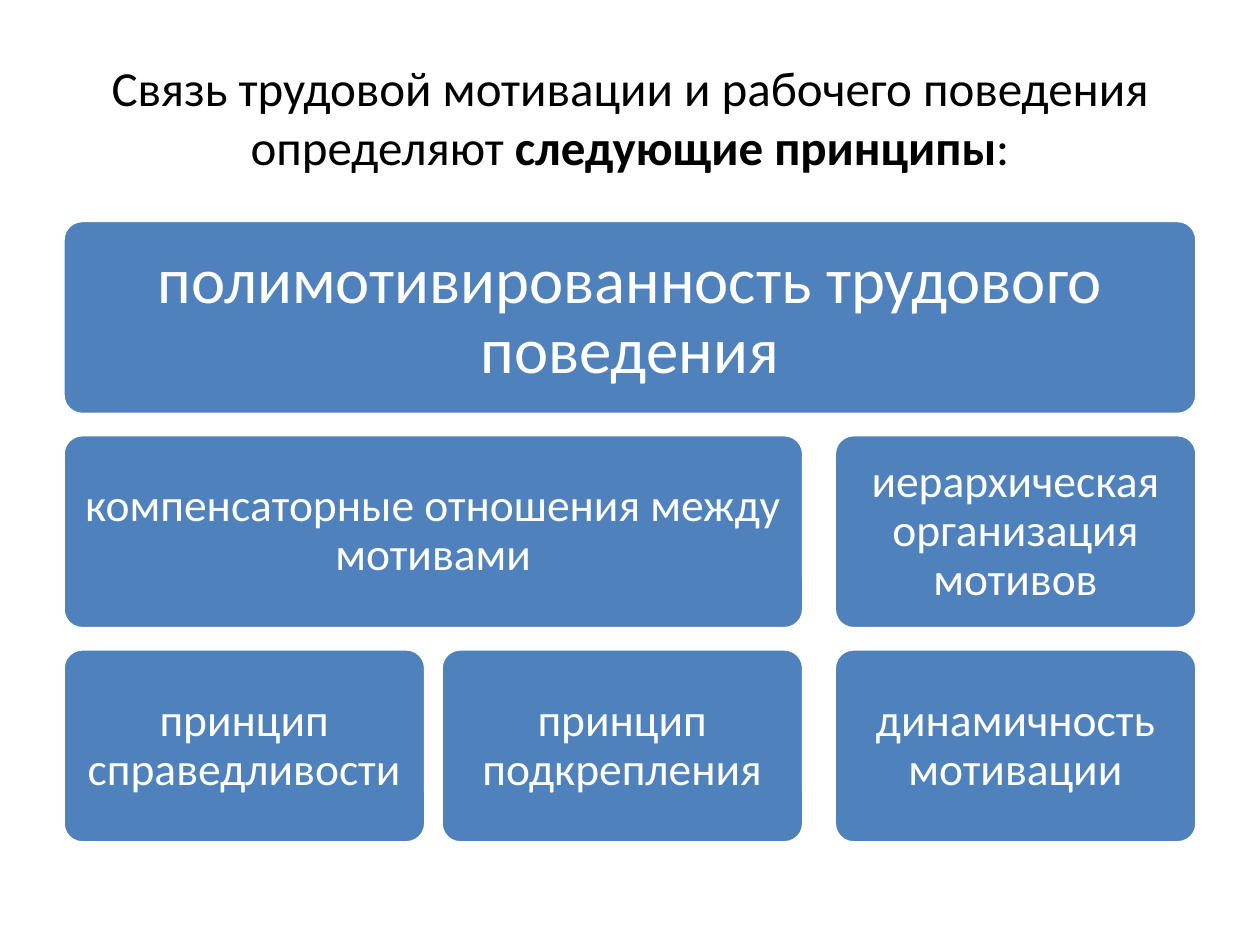
"""Build a slide showing the principles that link work motivation and behaviour."""
import pptx
import pptx.dml.color
import pptx.enum.shapes
import pptx.enum.text
import pptx.util

Pt = pptx.util.Pt
RGB = pptx.dml.color.RGBColor.from_string

TITLE = [
    ("Связь трудовой мотивации и рабочего поведения определяют ", False),
    ("следующие принципы", True),
    (":", False),
]
ROWS = [
    [("полимотивированность трудового поведения", 0, 3, "lead")],
    [("компенсаторные отношения между мотивами", 0, 2, "body"),
     ("иерархическая организация мотивов", 2, 1, "body")],
    [("принцип справедливости", 0, 1, "body"),
     ("принцип подкрепления", 1, 1, "body"),
     ("динамичность мотивации", 2, 1, "body")],
]
THEME = {
    "font": "Calibri", "ink": "000000", "paper": "FFFFFF", "block": "4F81BD",
    "title": 28, "lead": 37, "body": 26,
    "inset": {"lead": 11.1, "body": 7.8},
}
SLIDE = (720, 540)
TITLE_BOX = (36, 21.6, 648, 90)
LEFT, TOP, WIDTH = 36, 126, 648
BLOCK_HEIGHT, ROW_GAP = 110.9, 11.5
COLUMN_GAPS = (8.7, 17.4)
COLUMN_WIDTH = (WIDTH - sum(COLUMN_GAPS)) / 3


def set_all(target, values):
    for name, value in values.items():
        setattr(target, name, value)


def add_run(p, text, size, color, bold=False):
    r = p.add_run()
    r.text = text
    set_all(r.font, {"name": THEME["font"], "size": Pt(size), "bold": bold})
    r.font.color.rgb = RGB(color)


def fill_title(sp):
    box = map(Pt, TITLE_BOX)
    set_all(sp, dict(zip(("left", "top", "width", "height"), box)))
    tf = sp.text_frame
    set_all(tf, {"word_wrap": True,
                 "vertical_anchor": pptx.enum.text.MSO_ANCHOR.MIDDLE,
                 "auto_size": pptx.enum.text.MSO_AUTO_SIZE.NONE})
    p = tf.paragraphs[0]
    p.alignment = pptx.enum.text.PP_ALIGN.CENTER
    for text, bold in TITLE:
        add_run(p, text, THEME["title"], THEME["ink"], bold)


def add_block(slide, row, text, column, span, style):
    x = LEFT + column * COLUMN_WIDTH + sum(COLUMN_GAPS[:column])
    y = TOP + row * (BLOCK_HEIGHT + ROW_GAP)
    width = span * COLUMN_WIDTH + sum(COLUMN_GAPS[column:column + span - 1])
    sp = slide.shapes.add_shape(
        pptx.enum.shapes.MSO_SHAPE.ROUNDED_RECTANGLE,
        Pt(x), Pt(y), Pt(width), Pt(BLOCK_HEIGHT))
    sp.adjustments[0] = 0.1
    sp.shadow.inherit = False
    sp.fill.solid()
    sp.fill.fore_color.rgb = RGB(THEME["block"])
    sp.line.color.rgb = RGB(THEME["paper"])
    sp.line.width = Pt(2)
    tf = sp.text_frame
    inset = Pt(THEME["inset"][style])
    set_all(tf, {"word_wrap": True,
                 "vertical_anchor": pptx.enum.text.MSO_ANCHOR.MIDDLE,
                 "margin_left": inset, "margin_top": inset,
                 "margin_right": inset, "margin_bottom": inset})
    p = tf.paragraphs[0]
    set_all(p, {"alignment": pptx.enum.text.PP_ALIGN.CENTER,
                "line_spacing": 0.9})
    add_run(p, text, THEME[style], THEME["paper"])


def main():
    prs = pptx.Presentation()
    prs.slide_width, prs.slide_height = map(Pt, SLIDE)
    slide = prs.slides.add_slide(prs.slide_layouts[5])
    fill_title(slide.shapes.title)
    for row, blocks in enumerate(ROWS):
        for block in blocks:
            add_block(slide, row, *block)
    prs.save("out.pptx")


if __name__ == "__main__":
    main()
